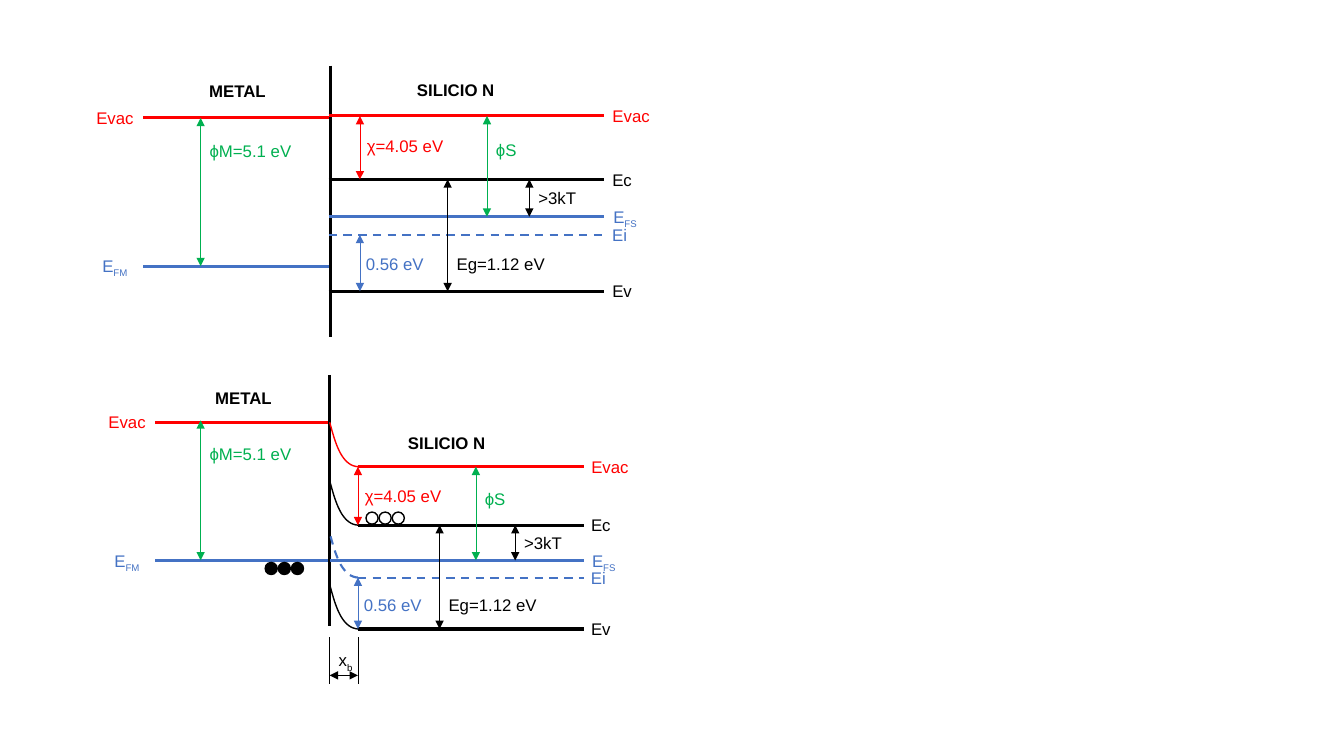
"""Band diagrams of a metal and N silicon, before and after contact."""
from dataclasses import dataclass

from lxml.etree import SubElement
from pptx import Presentation
from pptx.dml.color import RGBColor
from pptx.enum.dml import MSO_LINE_DASH_STYLE as Dash
from pptx.enum.shapes import MSO_CONNECTOR as Connector, MSO_SHAPE as Preset
from pptx.enum.text import MSO_AUTO_SIZE as AutoSize, PP_ALIGN as Align
from pptx.oxml.ns import qn
from pptx.util import Inches, Pt

RED, BLUE, GREEN, BLACK = "FF0000", "4472C4", "00B050", "000000"
THICK, MEDIUM, CURVE, THIN = 2.25, 1.5, 1, 0.5
LABEL_HEIGHT = 0.3
BEND_HEIGHT = 0.44


@dataclass(frozen=True)
class Level:
    name: str
    subscript: str
    width: float
    color: str
    bends: bool = True
    dashed: bool = False


@dataclass(frozen=True)
class Gap:
    upper: str
    lower: str
    text: str
    color: str
    indent: float
    width: float


@dataclass(frozen=True)
class Metal:
    left: float
    vacuum: float
    fermi: float
    arrow_top: float
    text_top: float
    title: tuple[float, float]


@dataclass(frozen=True)
class Silicon:
    left: float
    right: float
    label_left: float
    heights: dict[str, float]
    gap_lefts: tuple[float, ...]
    gap_tops: tuple[float, ...]
    title: tuple[float, float]


@dataclass(frozen=True)
class Diagram:
    wall: float
    wall_top: float
    wall_bottom: float
    metal: Metal
    silicon: Silicon


LEVELS = (
    Level("Evac", "", 0.58, RED),
    Level("Ec", "", 0.4, BLACK),
    Level("Ei", "", 0.35, BLUE, dashed=True),
    Level("Ev", "", 0.4, BLACK),
    Level("E", "FS", 0.46, BLUE, bends=False),
)
GAPS = (
    Gap("Evac", "Ec", "χ=4.05 eV", RED, -0.03, 0.97),
    Gap("Ec", "E", ">3kT", BLACK, -0.01, 0.58),
    Gap("Ei", "Ev", "0.56 eV", BLUE, -0.04, 0.78),
    Gap("Ec", "Ev", "Eg=1.12 eV", BLACK, -0.01, 1.08),
    Gap("Evac", "E", "ϕS", GREEN, -0.01, 0.41),
)
DIAGRAMS = (
    Diagram(3.28, 0.65, 3.34,
            Metal(1.42, 1.17, 2.64, 1.17, 1.35, (1.97, 0.75)),
            Silicon(3.26, 5.99, 5.97,
                    {"Evac": 1.15, "Ec": 1.78, "E": 2.15, "Ei": 2.33, "Ev": 2.89},
                    (3.57, 5.25, 3.57, 4.44, 4.83),
                    (1.3, 1.81, 2.47, 2.47, 1.34), (4.03, 0.74))),
    Diagram(3.27, 3.72, 6.21,
            Metal(1.54, 4.19, 5.56, 4.17, 4.35, (2.03, 3.8)),
            Silicon(3.55, 5.79, 5.76,
                    {"Evac": 4.63, "Ec": 5.21, "E": 5.56, "Ei": 5.73, "Ev": 6.24},
                    (3.55, 5.11, 3.55, 4.36, 4.72),
                    (4.77, 5.24, 5.85, 5.85, 4.8), (3.94, 4.24))),
)


def rgb(color: str) -> RGBColor:
    return RGBColor.from_string(color)


def format_line(line, color: str, weight: float, dashed: bool = False) -> None:
    line.color.rgb = rgb(color)
    values = {"width": Pt(weight)}
    if dashed:
        values["dash_style"] = Dash.DASH
    for name, value in values.items():
        setattr(line, name, value)


def draw_line(slide, start: tuple[float, float], end: tuple[float, float], color: str,
              weight: float, dashed: bool = False, arrows: bool = False) -> None:
    points = [Inches(value) for value in (*start, *end)]
    connector = slide.shapes.add_connector(Connector.STRAIGHT, *points)
    format_line(connector.line, color, weight, dashed)
    properties = connector._element.spPr
    if arrows:
        for tag in ("a:headEnd", "a:tailEnd"):
            SubElement(properties.find(qn("a:ln")), qn(tag), type="triangle")
    SubElement(properties, qn("a:effectLst"))


def draw_text(slide, left: float, top: float, width: float, text: str, color: str,
              subscript: str = "", bold: bool = False, align=Align.LEFT) -> None:
    box = slide.shapes.add_textbox(*map(Inches, (left, top, width, LABEL_HEIGHT)))
    frame = box.text_frame
    for name, value in {"word_wrap": False, "auto_size": AutoSize.SHAPE_TO_FIT_TEXT}.items():
        setattr(frame, name, value)
    paragraph = frame.paragraphs[0]
    paragraph.alignment = align
    for content, baseline in ((text, None), (subscript, "-25000")):
        if not content:
            continue
        run = paragraph.add_run()
        run.text = content
        for name, value in {"name": "Arial", "size": Pt(12), "bold": bold}.items():
            setattr(run.font, name, value)
        run.font.color.rgb = rgb(color)
        if baseline:
            run._r.get_or_add_rPr().set("baseline", baseline)


def draw_bend(slide, wall: float, right: float, bottom: float, level: Level) -> None:
    controls = ((right, bottom), (right - 0.17, bottom - 0.01),
                (wall + 0.05, bottom - 0.26), (wall, bottom - BEND_HEIGHT))
    points = []
    for step in range(21):
        t = step / 20
        weights = ((1 - t) ** 3, 3 * t * (1 - t) ** 2, 3 * t ** 2 * (1 - t), t ** 3)
        points.append(tuple(
            Inches(sum(weight * point[axis] for weight, point in zip(weights, controls)))
            for axis in (0, 1)))
    builder = slide.shapes.build_freeform(*points[0])
    builder.add_line_segments(points[1:], close=False)
    shape = builder.convert_to_shape()
    shape.shadow.inherit = False
    shape.fill.background()
    format_line(shape.line, level.color, MEDIUM if level.dashed else CURVE, level.dashed)


def draw_metal(slide, metal: Metal, wall: float) -> None:
    for height, color in ((metal.vacuum, RED), (metal.fermi, BLUE)):
        draw_line(slide, (metal.left, height), (wall + 0.01, height), color, THICK)
    draw_line(slide, (1.99, metal.arrow_top), (1.99, metal.fermi), GREEN, THIN, arrows=True)
    draw_text(slide, 1.98, metal.text_top, 1.02, "ϕM=5.1 eV", GREEN)
    draw_text(slide, metal.left - 0.57, metal.vacuum - 0.15, 0.58, "Evac", RED, align=Align.CENTER)
    draw_text(slide, metal.left - 0.52, metal.fermi - 0.15, 0.48, "E", BLUE, "FM", align=Align.CENTER)
    draw_text(slide, *metal.title, 0.77, "METAL", BLACK, bold=True, align=Align.CENTER)


def draw_silicon(slide, silicon: Silicon, wall: float) -> None:
    bent = silicon.left > wall
    for level in LEVELS:
        height = silicon.heights[level.name]
        left = silicon.left if level.bends else min(wall, silicon.left)
        draw_line(slide, (left, height), (silicon.right, height), level.color,
                  MEDIUM if level.dashed else THICK, level.dashed)
        draw_text(slide, silicon.label_left, height - 0.15, level.width, level.name,
                  level.color, level.subscript, align=Align.CENTER)
        if bent and level.bends:
            draw_bend(slide, wall, silicon.left, height, level)
    for gap, left, top in zip(GAPS, silicon.gap_lefts, silicon.gap_tops):
        draw_line(slide, (left, silicon.heights[gap.upper]), (left, silicon.heights[gap.lower]),
                  gap.color, THIN, arrows=True)
        draw_text(slide, left + gap.indent, top, gap.width, gap.text, gap.color)
    draw_text(slide, *silicon.title, 0.98, "SILICIO N", BLACK, bold=True, align=Align.CENTER)


def draw_charges(slide, left: float, top: float, filled: bool) -> None:
    for index in range(3):
        charge = slide.shapes.add_shape(
            Preset.OVAL, *map(Inches, (left + 0.13 * index, top, 0.12, 0.12)))
        charge.shadow.inherit = False
        if filled:
            charge.fill.solid()
            charge.fill.fore_color.rgb = rgb(BLACK)
        else:
            charge.fill.background()
        format_line(charge.line, BLACK, CURVE)


def draw_barrier_width(slide, left: float, right: float) -> None:
    for edge in (left, right):
        draw_line(slide, (edge, 6.32), (edge, 6.79), BLACK, THIN)
    draw_line(slide, (left, 6.7), (right, 6.7), BLACK, THIN, arrows=True)
    draw_text(slide, left - 0.01, 6.4, 0.35, "x", BLACK, "b")


def main() -> None:
    presentation = Presentation()
    presentation.slide_width, presentation.slide_height = Inches(13.33), Inches(7.5)
    slide = presentation.slides.add_slide(presentation.slide_layouts[6])
    for diagram in DIAGRAMS:
        wall = diagram.wall
        draw_metal(slide, diagram.metal, wall)
        draw_line(slide, (wall, diagram.wall_top), (wall, diagram.wall_bottom), BLACK, THICK)
        draw_silicon(slide, diagram.silicon, wall)
    draw_barrier_width(slide, 3.27, 3.55)
    draw_charges(slide, 3.63, 5.08, filled=False)
    draw_charges(slide, 2.63, 5.58, filled=True)
    presentation.save("out.pptx")


if __name__ == "__main__":
    main()
